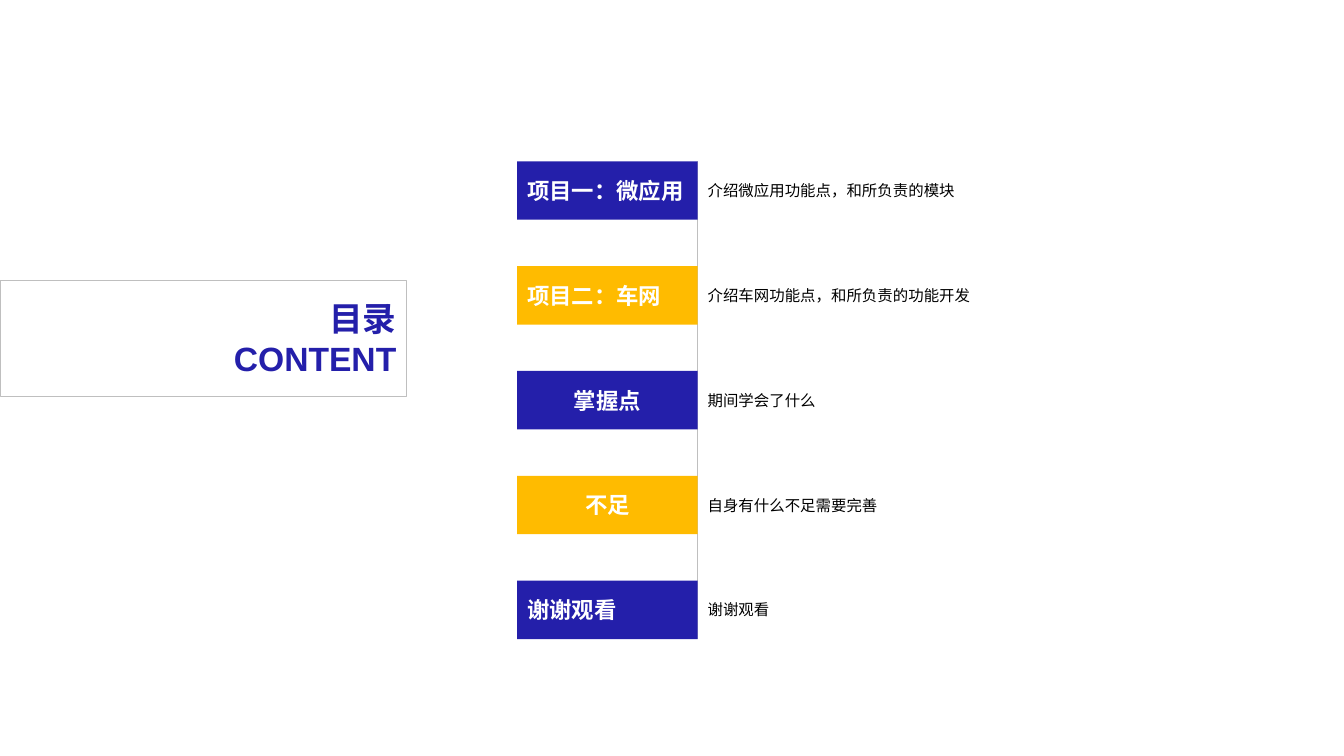
import pptx
import pptx.util
import pptx.dml.color
import pptx.enum.shapes
import pptx.enum.text
import pptx.oxml.ns
from lxml import etree

Inches = pptx.util.Inches
Pt = pptx.util.Pt
ALIGN = pptx.enum.text.PP_ALIGN

# Content
TITLE = "目录\nCONTENT"
AGENDA = [  # label, label alignment, description
    ("项目一：微应用", ALIGN.LEFT, "介绍微应用功能点，和所负责的模块"),
    ("项目二：车网", ALIGN.LEFT, "介绍车网功能点，和所负责的功能开发"),
    ("掌握点", ALIGN.CENTER, "期间学会了什么"),
    ("不足", ALIGN.CENTER, "自身有什么不足需要完善"),
    ("谢谢观看", ALIGN.LEFT, "谢谢观看"),
]

THEME = {
    "font": "Arial",
    "blue": "241FAA", "yellow": "FFBB00", "grey": "BFBFBF",
    "white": "FFFFFF", "black": "000000",
    "title_size": 24, "label_size": 16, "text_size": 11,
}

# Layout in inches
LABEL_LEFT, LABEL_W = 5.13, 1.79
AXIS_X = LABEL_LEFT + LABEL_W
TOP, ROW_H, PITCH = 1.6, 0.58, 1.04
TEXT_W = 5.68


def color(name):
    return pptx.dml.color.RGBColor.from_string(THEME[name])


def write(s, text, size, ink, align=ALIGN.LEFT, bold=False):
    tf = s.text_frame
    tf.word_wrap = True
    tf.vertical_anchor = pptx.enum.text.MSO_ANCHOR.MIDDLE
    p = tf.paragraphs[0]
    p.text = text
    p.alignment = align
    for r in p.runs:
        r.font.name = THEME["font"]
        r.font.size = Pt(THEME[size])
        r.font.bold = bold
        r.font.color.rgb = color(ink)


def add_box(slide, left, top, width, height, fill=None, line=None):
    s = slide.shapes.add_shape(pptx.enum.shapes.MSO_SHAPE.RECTANGLE,
                               Inches(left), Inches(top), Inches(width), Inches(height))
    s.shadow.inherit = False
    if fill:
        s.fill.solid()
        s.fill.fore_color.rgb = color(fill)
    else:
        s.fill.background()
    if line:
        s.line.color.rgb = color(line)
        s.line.width = Pt(0.25)
    else:
        s.line.fill.background()
    return s


def add_axis(slide):
    bottom = TOP + (len(AGENDA) - 1) * PITCH + ROW_H
    s = slide.shapes.add_connector(pptx.enum.shapes.MSO_CONNECTOR.STRAIGHT,
                                   Inches(AXIS_X), Inches(TOP), Inches(AXIS_X), Inches(bottom))
    s.line.color.rgb = color("grey")
    s.line.width = Pt(1)
    etree.SubElement(s._element.spPr, pptx.oxml.ns.qn("a:effectLst"))


def main():
    prs = pptx.Presentation()
    prs.slide_width, prs.slide_height = Inches(13.33), Inches(7.5)
    slide = prs.slides.add_slide(prs.slide_layouts[6])

    # Vertical line behind the agenda
    add_axis(slide)

    # Title box
    title = add_box(slide, 0, 2.78, 4.03, 1.15, line="grey")
    write(title, TITLE, "title_size", "blue", ALIGN.RIGHT, bold=True)

    # Agenda rows, alternating in colour
    for i, (label, align, description) in enumerate(AGENDA):
        top = TOP + i * PITCH
        tag = add_box(slide, LABEL_LEFT, top, LABEL_W, ROW_H, fill=("blue", "yellow")[i % 2])
        write(tag, label, "label_size", "white", align, bold=True)
        note = slide.shapes.add_textbox(Inches(AXIS_X), Inches(top), Inches(TEXT_W), Inches(ROW_H))
        write(note, description, "text_size", "black")

    prs.save("out.pptx")


if __name__ == "__main__":
    main()
